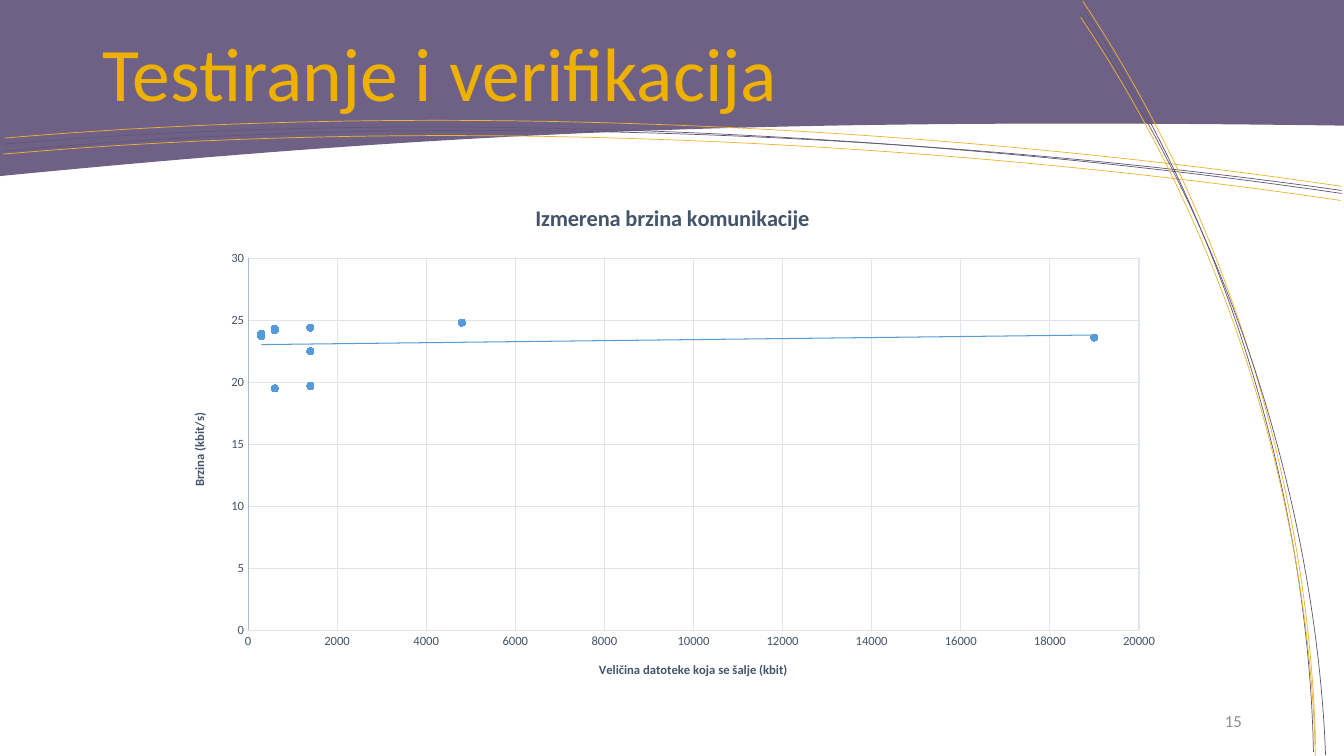
import math
from dataclasses import dataclass

import lxml.etree
import pptx
import pptx.chart.data
import pptx.dml.color
import pptx.enum.chart
import pptx.enum.text
import pptx.oxml
import pptx.oxml.ns
import pptx.util


def rgb(code):
    return pptx.dml.color.RGBColor.from_string(code)


@dataclass(frozen=True)
class Theme:
    font: str = "Calibri"
    band: str = "6F6185"
    gold_line: str = "EFB32F"
    purple_line: str = "625676"
    title: str = "EFB100"
    number: str = "8C8C8C"
    chart_text: str = "44546A"
    grid: str = "E0E5EB"
    axis: str = "ADB9CA"
    marker: str = "559BDB"
    trend: str = "5B9BD5"
    title_size: int = 54
    number_size: int = 12
    chart_title_size: int = 16
    axis_size: int = 9


THEME = Theme()
WIDTH, HEIGHT = pptx.util.Inches(13.33), pptx.util.Inches(7.5)

# Boxes and points lie on a grid of 100 columns by 100 rows over the slide
TITLE_BOX = (6.9, 2.4, 86.25, 15.47)
NUMBER_BOX = (70.65, 92.67, 22.5, 5.33)
CHART_BOX = (12.53, 24.27, 75, 68.4)
BAND_BOX = (0, 0, 100, 23.2)
BAND_PATH = (("moveTo", (0, 0)), ("lnTo", (100, 0)), ("lnTo", (100, 16.53)),
             ("cubicBezTo", (57, 15.47), (33.08, 17.47), (0, 23.2)), ("close",))

# Sweeping lines by tilt in degrees; each has its box, start, two control points and end
SWEEPS = {
    6.4: (
        ((0.53, 12.8, 99.32, 15.33), (0.38, 18.27), (44.18, 11.6), (85.8, 20.93), (99.83, 24.67)),
        ((0.45, 13.73, 99.32, 15.2), (0.3, 19.07), (44.03, 12.53), (85.58, 21.87), (99.83, 25.6)),
        ((0.38, 14.8, 99.32, 15.33), (0.23, 20.4), (43.8, 13.6), (85.2, 22.67), (99.75, 26.53)),
        ((0.45, 14, 99.32, 15.87), (0.3, 20), (43.95, 12.8), (85.65, 21.6), (99.83, 25.2)),
    ),
    83.6: (
        ((61.59, 37.87, 56.94, 22.67), (80.55, 0.13), (95.93, 41.33), (97.73, 84), (97.88, 98.53)),
        ((61.52, 38.93, 56.94, 22.53), (80.55, 1.07), (95.85, 42.13), (97.58, 84.8), (97.73, 99.47)),
        ((61.44, 39.87, 56.94, 22.67), (80.4, 2.27), (95.85, 43.2), (97.73, 85.6), (97.88, 100.67)),
        ((61.59, 38.93, 56.94, 23.47), (80.33, 1.73), (96.15, 42.67), (98.33, 85.2), (98.63, 99.87)),
    ),
}

# File size (kbit) and measured speed (kbit/s)
MEASUREMENTS = (
    (1400, 19.7), (1400, 22.5), (1400, 24.4), (300, 23.7), (300, 23.9), (300, 23.9),
    (19000, 23.6), (600, 19.5), (600, 24.2), (600, 24.3), (4800, 24.8),
)


def place(column, row):
    return round(WIDTH * column / 100), round(HEIGHT * row / 100)


def place_box(box):
    return place(*box[:2]) + place(*box[2:])


def turn_back(point, box, tilt):
    """Position of a slide point inside a box, before the box is tilted."""
    left, top, width, height = place_box(box)
    x, y = place(*point)
    across, down = x - left - width / 2, y - top - height / 2
    cosine, sine = math.cos(math.radians(tilt)), math.sin(math.radians(tilt))
    return (round(across * cosine + down * sine + width / 2),
            round(down * cosine - across * sine + height / 2))


def add_outline(page, box, commands, line_color, width, tilt=0):
    builder = page.shapes.build_freeform(0, 0)
    builder.add_line_segments([place(*box[2:])], close=False)
    shape = builder.convert_to_shape()
    shape.left, shape.top, shape.width, shape.height = place_box(box)
    shape.rotation = tilt
    shape.shadow.inherit = False
    shape.fill.background()
    style_line(shape.line, line_color, width)
    # Curved path in the units of the box
    outline = shape.element.find(".//" + pptx.oxml.ns.qn("a:path"))
    for step in list(outline):
        outline.remove(step)
    outline.set("w", str(shape.width))
    outline.set("h", str(shape.height))
    for name, *points in commands:
        step = lxml.etree.SubElement(outline, pptx.oxml.ns.qn("a:" + name))
        for point in points:
            x, y = turn_back(point, box, tilt)
            spot = lxml.etree.SubElement(step, pptx.oxml.ns.qn("a:pt"))
            spot.set("x", str(x))
            spot.set("y", str(y))
    return shape


def style_font(font, size, color, bold=False):
    font.name, font.size, font.bold = THEME.font, pptx.util.Pt(size), bold
    font.color.rgb = rgb(color)


def style_line(line, color, width):
    line.color.rgb = rgb(color)
    line.width = pptx.util.Pt(width)


def add_decoration(page):
    # Header band with a curved lower edge
    band = add_outline(page, BAND_BOX, BAND_PATH, THEME.band, 1)
    band.fill.solid()
    band.fill.fore_color.rgb = rgb(THEME.band)
    # Sweeping lines, gold and purple in turn
    for tilt, sweeps in SWEEPS.items():
        for index, (box, start, *curve) in enumerate(sweeps):
            color = THEME.purple_line if index % 2 else THEME.gold_line
            add_outline(page, box, (("moveTo", start), ("cubicBezTo", *curve)), color, 0.5, tilt)


def add_title(page, box, text):
    title = page.shapes.title
    title.left, title.top, title.width, title.height = place_box(box)
    frame = title.text_frame
    frame.text = text
    frame.auto_size = pptx.enum.text.MSO_AUTO_SIZE.NONE
    frame.vertical_anchor = pptx.enum.text.MSO_ANCHOR.MIDDLE
    para = frame.paragraphs[0]
    para.alignment = pptx.enum.text.PP_ALIGN.LEFT
    para.line_spacing = 0.9
    style_font(para.font, THEME.title_size, THEME.title)
    # Bring the title in front of the band
    title.element.getparent().append(title.element)


def add_page_number(page, box, text):
    frame = page.shapes.add_textbox(*place_box(box)).text_frame
    frame.word_wrap = True
    frame.vertical_anchor = pptx.enum.text.MSO_ANCHOR.MIDDLE
    para = frame.paragraphs[0]
    para.text = text
    para.alignment = pptx.enum.text.PP_ALIGN.RIGHT
    style_font(para.font, THEME.number_size, THEME.number)


def style_axis(axis, title, maximum, step, line_color):
    axis.minimum_scale, axis.maximum_scale, axis.major_unit = 0, maximum, step
    axis.major_tick_mark = axis.minor_tick_mark = pptx.enum.chart.XL_TICK_MARK.NONE
    axis.has_major_gridlines = True
    style_line(axis.major_gridlines.format.line, THEME.grid, 0.75)
    style_line(axis.format.line, line_color, 0.75)
    style_font(axis.tick_labels.font, THEME.axis_size, THEME.chart_text)
    frame = axis.axis_title.text_frame
    frame.text = title
    style_font(frame.paragraphs[0].font, THEME.axis_size, THEME.chart_text, True)


def add_trend_line(chart):
    trend = pptx.oxml.parse_xml(
        f'<c:trendline {pptx.oxml.ns.nsdecls("c", "a")}><c:spPr><a:ln w="9525"><a:solidFill>'
        f'<a:srgbClr val="{THEME.trend}"/></a:solidFill></a:ln></c:spPr>'
        '<c:trendlineType val="linear"/><c:dispRSqr val="0"/><c:dispEq val="0"/></c:trendline>')
    chart.element.find(".//" + pptx.oxml.ns.qn("c:xVal")).addprevious(trend)


def fix_plot_area(chart, **percents):
    """Place the inner plot area, in percents of the chart."""
    plot_area = chart.element.find(".//" + pptx.oxml.ns.qn("c:plotArea"))
    for old in plot_area.findall(pptx.oxml.ns.qn("c:layout")):
        plot_area.remove(old)
    layout = lxml.etree.Element(pptx.oxml.ns.qn("c:layout"))
    manual = lxml.etree.SubElement(layout, pptx.oxml.ns.qn("c:manualLayout"))
    shares = {name: percent / 100 for name, percent in percents.items()}
    settings = {"layoutTarget": "inner", "xMode": "edge", "yMode": "edge", **shares}
    for name, value in settings.items():
        lxml.etree.SubElement(manual, pptx.oxml.ns.qn("c:" + name)).set("val", str(value))
    plot_area.insert(0, layout)


def add_speed_chart(page, box):
    data = pptx.chart.data.XyChartData()
    points = data.add_series("Series 1")
    for size, speed in MEASUREMENTS:
        points.add_data_point(size, speed)
    kind = pptx.enum.chart.XL_CHART_TYPE.XY_SCATTER
    chart = page.shapes.add_chart(kind, *place_box(box), data).chart
    style_font(chart.font, THEME.axis_size, THEME.chart_text)
    chart.has_legend = False
    frame = chart.chart_title.text_frame
    frame.text = "Izmerena brzina komunikacije"
    style_font(frame.paragraphs[0].font, THEME.chart_title_size, THEME.chart_text, True)
    style_axis(chart.category_axis, "Veličina datoteke koja se šalje (kbit)", 20000, 2000, THEME.grid)
    style_axis(chart.value_axis, "Brzina (kbit/s)", 30, 5, THEME.axis)
    fix_plot_area(chart, x=7.9, y=14.45, w=88.4, h=72)
    # Round markers without joining lines, and a linear trend
    plot = chart.plots[0]
    plot.vary_by_categories = False
    series = plot.series[0]
    series.format.line.fill.background()
    marker = series.marker
    marker.style, marker.size = pptx.enum.chart.XL_MARKER_STYLE.CIRCLE, 5
    marker.format.fill.solid()
    marker.format.fill.fore_color.rgb = rgb(THEME.marker)
    style_line(marker.format.line, THEME.trend, 0.75)
    add_trend_line(chart)


def main():
    deck = pptx.Presentation()
    deck.slide_width, deck.slide_height = WIDTH, HEIGHT
    page = deck.slides.add_slide(deck.slide_layouts.get_by_name("Title Only"))
    add_decoration(page)
    add_title(page, TITLE_BOX, "Testiranje i verifikacija")
    add_page_number(page, NUMBER_BOX, "15")
    add_speed_chart(page, CHART_BOX)
    deck.save("out.pptx")


if __name__ == "__main__":
    main()
